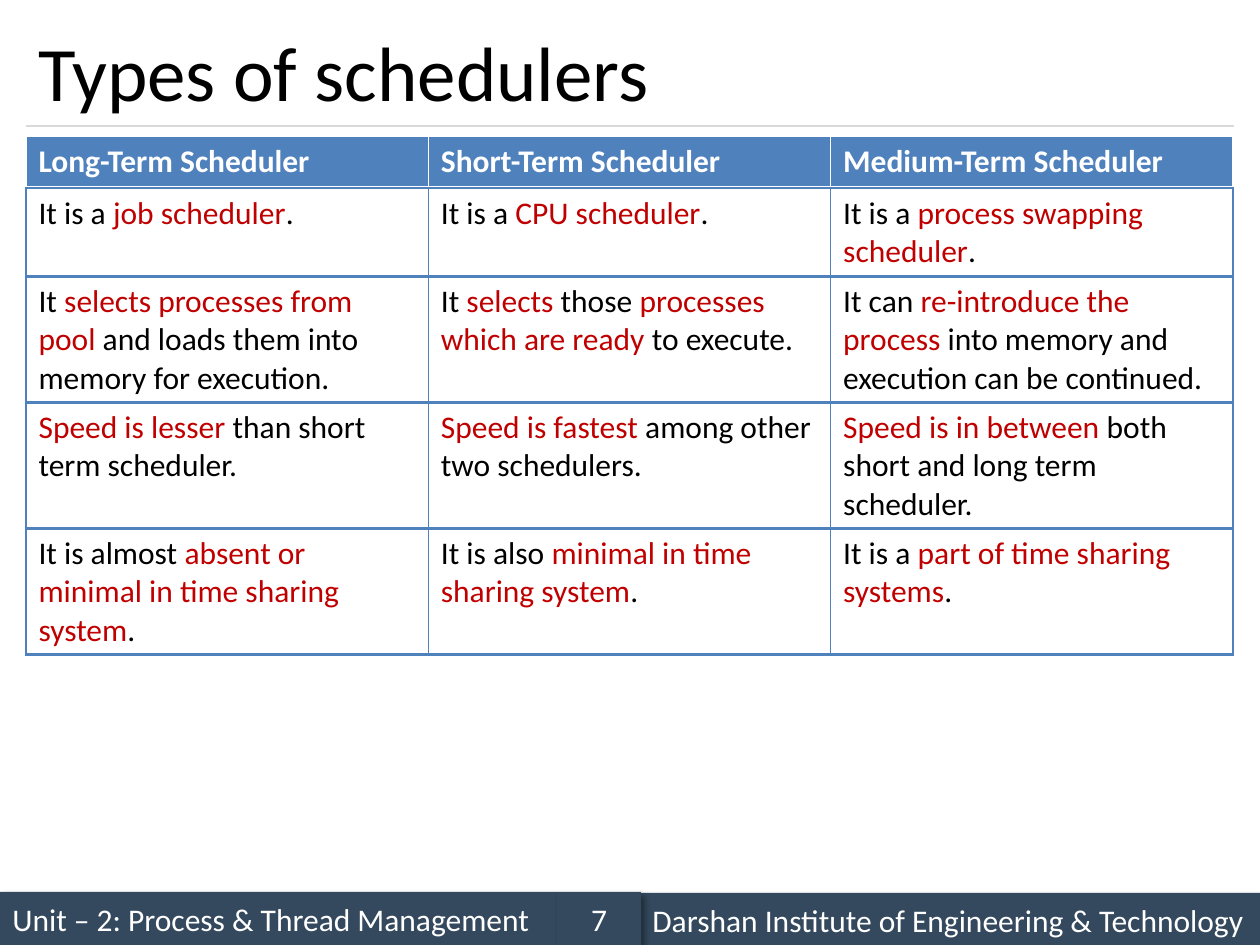
from lxml import etree
from pptx import Presentation
from pptx import util as u
from pptx.dml.color import RGBColor
from pptx.enum import shapes, text
from pptx.oxml import ns

COLORS = {
    "black": "000000",
    "white": "FFFFFF",
    "red": "C00000",
    "blue": "4F81BD",
    "slate": "34495E",
    "rule": "D9D9D9",
}
PX_PER_INCH = 126

HEADERS = ["Long-Term Scheduler", "Short-Term Scheduler", "Medium-Term Scheduler"]
ROWS = [
    (88, [
        "It is a *job scheduler*.",
        "It is a *CPU scheduler*.",
        "It is a *process swapping scheduler*.",
    ]),
    (126, [
        "It *selects processes from pool *and loads them into memory for execution.",
        "It *selects* those *processes which are ready *to execute.",
        "It can *re-introduce the process *into memory and execution can be continued.",
    ]),
    (126, [
        "*Speed is lesser *than short term scheduler.",
        "*Speed is fastest *among other two schedulers.",
        "*Speed is in between *both short and long term scheduler.",
    ]),
    (126, [
        "It is almost *absent or minimal in time sharing system*.",
        "It is also *minimal in time sharing system*.",
        "It is a *part of time sharing systems*.",
    ]),
]


def px(length):
    return u.Emu(round(length * 914400 / PX_PER_INCH))


def rgb(name):
    return RGBColor.from_string(COLORS[name])


def add_node(parent, tag, **attributes):
    node = etree.SubElement(parent, ns.qn(tag))
    for key, value in attributes.items():
        node.set(key, str(value))
    return node


def write(frame, content, size=18, color="black", bold=False, font="Calibri", align="LEFT"):
    para = frame.paragraphs[0]
    para.alignment = getattr(text.PP_ALIGN, align)
    for index, part in enumerate(content.split("*")):
        if part:
            span = para.add_run()
            span.text = part
            span.font.name = font
            span.font.size = u.Pt(size)
            span.font.bold = bold
            span.font.color.rgb = rgb("red" if index % 2 else color)


class SlideBuilder:
    def __init__(self, slide):
        self.slide = slide

    def title(self, content, left, top, width, height):
        box = self.slide.shapes.add_textbox(px(left), px(top), px(width), px(height))
        box.text_frame.word_wrap = True
        box.text_frame.vertical_anchor = text.MSO_ANCHOR.MIDDLE
        write(box.text_frame, content, size=44)

    def rule(self, left, right, top):
        line = self.slide.shapes.add_connector(
            shapes.MSO_CONNECTOR.STRAIGHT, px(left), px(top), px(right), px(top))
        line.line.color.rgb = rgb("rule")
        line.line.width = u.Pt(0.75)
        add_node(line._element.spPr, "a:effectLst")

    def footer(self, content, left, top, width, height, align="LEFT"):
        bar = self.slide.shapes.add_shape(
            shapes.MSO_SHAPE.RECTANGLE, px(left), px(top), px(width), px(height))
        bar.fill.solid()
        bar.fill.fore_color.rgb = rgb("slate")
        bar.line.fill.background()
        bar.shadow.inherit = False
        effects = bar._element.spPr.find(ns.qn("a:effectLst"))
        shadow = add_node(effects, "a:outerShdw", blurRad=u.Pt(4), dist=u.Pt(3),
                          dir=45 * 60000, algn="tl", rotWithShape=0)
        tint = add_node(shadow, "a:srgbClr", val=COLORS["black"])
        add_node(tint, "a:alpha", val=40000)
        bar.text_frame.word_wrap = True
        bar.text_frame.vertical_anchor = text.MSO_ANCHOR.MIDDLE
        write(bar.text_frame, content, color="white", align=align)

    def borders(self, cell, color, bottom):
        properties = cell._tc.get_or_add_tcPr()
        for side, width in (("L", 1), ("R", 1), ("T", 1), ("B", bottom)):
            edge = add_node(properties, f"a:ln{side}", w=u.Pt(width))
            add_node(add_node(edge, "a:solidFill"), "a:srgbClr", val=COLORS[color])

    def table_row(self, contents, left, top, width, height, header=False):
        frame = self.slide.shapes.add_table(
            1, len(contents), px(left), px(top), px(width), px(height))
        table = frame.table
        table.first_row = header
        table.horz_banding = False
        for cell, content in zip(table.rows[0].cells, contents):
            if header:
                self.borders(cell, "white", 3)
                cell.fill.solid()
                cell.fill.fore_color.rgb = rgb("blue")
            else:
                self.borders(cell, "blue", 2)
                cell.fill.background()
            write(cell.text_frame, content, color="white" if header else "black", bold=header)


def main():
    deck = Presentation()
    deck.slide_width, deck.slide_height = px(1260), px(945)
    page = SlideBuilder(deck.slides.add_slide(deck.slide_layouts[6]))

    page.footer("Unit – 2: Process & Thread Management", 0, 892, 557, 53)
    page.rule(26, 1234, 126)
    page.footer("Darshan Institute of Engineering & Technology", 640, 893, 620, 53)
    page.footer("7", 557, 892, 84, 53, align="CENTER")
    page.title("Types of schedulers", 26, 15, 1207, 111)

    left, top, width, header_height = 26, 136, 1207, 52
    page.table_row(HEADERS, left, top, width, header_height, header=True)
    top += header_height
    for height, contents in ROWS:
        page.table_row(contents, left, top, width, height)
        top += height

    deck.save("out.pptx")


if __name__ == "__main__":
    main()
